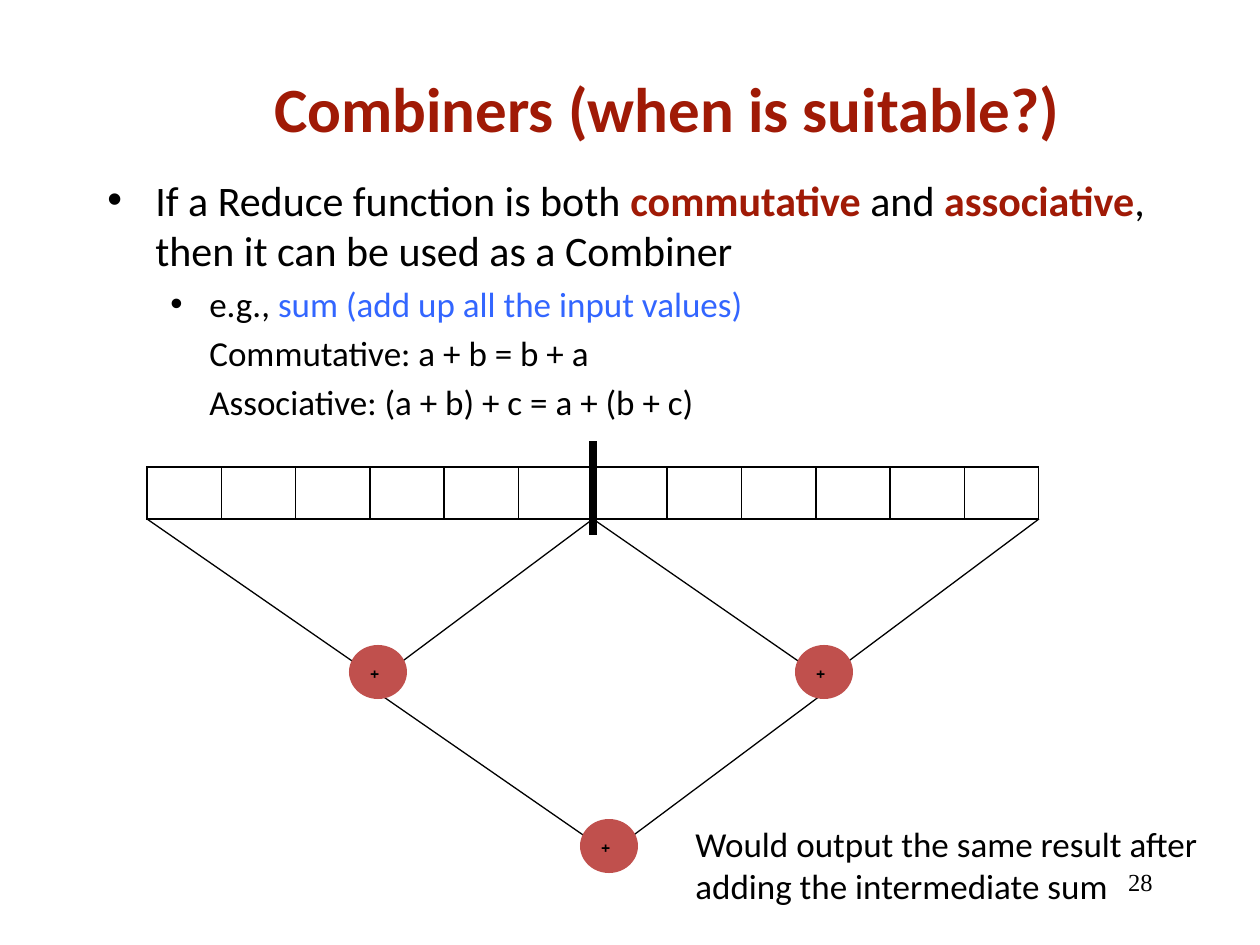
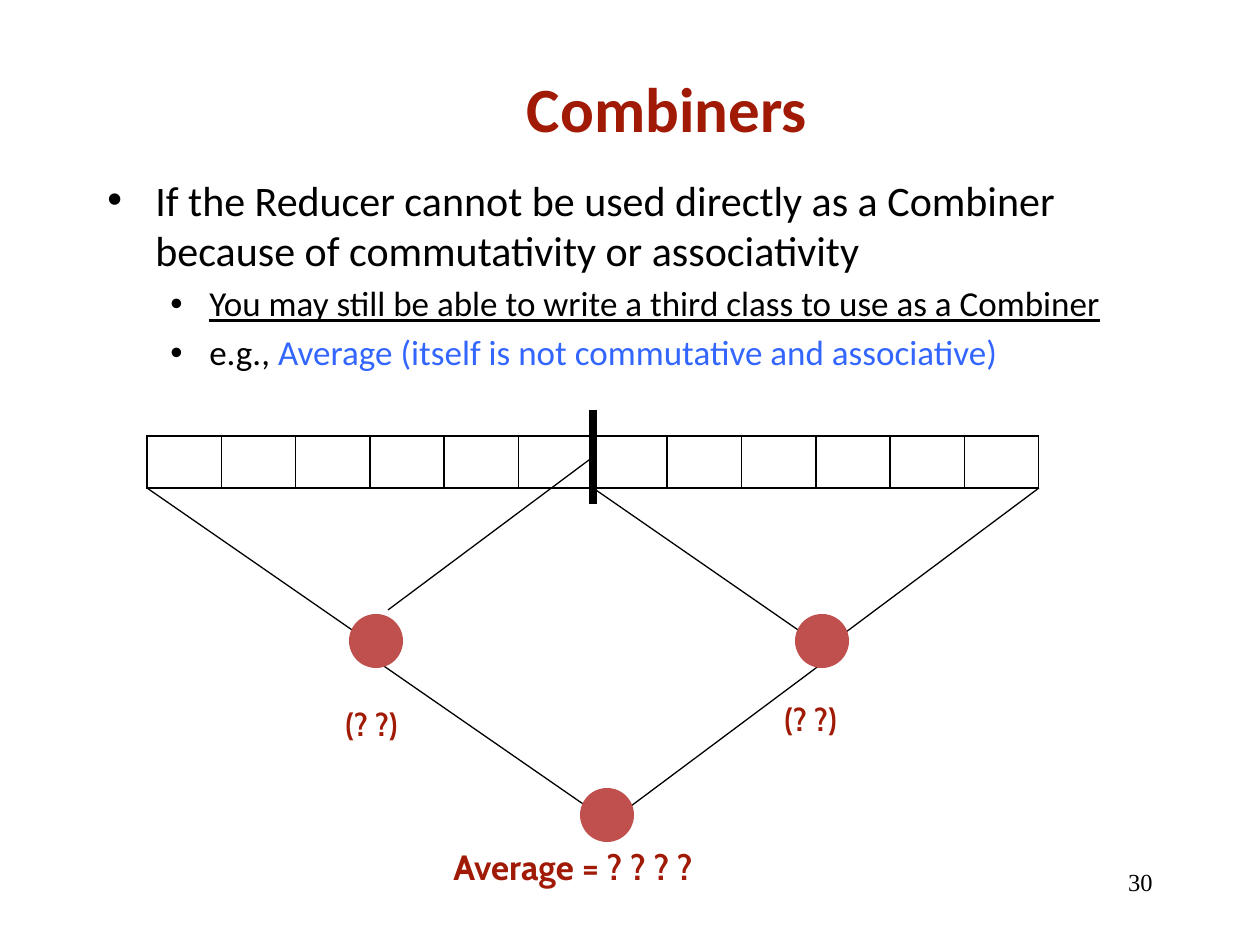
from lxml import etree
from pptx import Presentation
from pptx import util as u
from pptx.dml import color as dml
from pptx.enum import shapes, text
from pptx.oxml import ns

BLACK, RED, BLUE, NODE = "000000", "A01A06", "3366FF", "C0504D"
TITLE = {"name": "Calibri", "size": u.Pt(36), "bold": True, "color": RED}
BODY = {"name": "Calibri", "size": u.Pt(24), "color": BLACK}
DETAIL = {**BODY, "size": u.Pt(20)}
KEYWORD = {**BODY, "color": RED, "bold": True}
EXAMPLE = {**DETAIL, "color": BLUE}
UNDERLINED = {**DETAIL, "underline": True}
SIGN = {"name": "Cabin", "size": u.Pt(12), "color": BLACK}
GUESS = {"name": "Cabin", "size": u.Pt(18), "color": RED, "bold": True}
RESULT = {**GUESS, "size": u.Pt(20)}
NUMBER = {"name": "Times New Roman", "size": u.Pt(14), "color": BLACK}

TOP_LEVEL = {"margin": 48, "indent": -48, "before": 0}
SUB_LEVEL = {"margin": 102, "indent": -39, "before": 4}
PLAIN_LEVEL = {"margin": 102, "indent": 0, "before": 4}

ARRAY_LEFT, ARRAY_WIDTH, ARRAY_HEIGHT, CELL_COUNT = 147, 892, 52, 12
HALF = ARRAY_WIDTH // 2
BRANCH_HEIGHT = 153


def px(length):
    return u.Emu(round(length * u.Inches(1) / 126))


def rgb(value):
    return dml.RGBColor.from_string(value)


def add_span(para, words, style):
    span = para.add_run()
    span.text = words
    for name, value in style.items():
        if name == "color":
            span.font.color.rgb = rgb(value)
        else:
            setattr(span.font, name, value)


def prepare_frame(frame):
    settings = {"word_wrap": True, "vertical_anchor": text.MSO_ANCHOR.TOP}
    for name, value in settings.items():
        setattr(frame, name, value)
    return frame.paragraphs[0]


def add_label(page, bounds, words, style, align=text.PP_ALIGN.LEFT):
    box = page.shapes.add_textbox(*map(px, bounds))
    para = prepare_frame(box.text_frame)
    para.alignment = align
    add_span(para, words, style)


def set_title(page, words):
    box = page.shapes.title
    box.left, box.top, box.width, box.height = map(px, (116, 63, 1102, 158))
    para = prepare_frame(box.text_frame)
    para.alignment = text.PP_ALIGN.CENTER
    add_span(para, words, TITLE)


def set_level(para, level):
    para.space_before = u.Pt(level["before"])
    props = para._p.get_or_add_pPr()
    props.set("marL", str(px(level["margin"])))
    props.set("indent", str(px(level["indent"])))
    if level["indent"]:
        tint = etree.SubElement(props, ns.qn("a:buClr"))
        etree.SubElement(tint, ns.qn("a:srgbClr"), val=BLACK)
        etree.SubElement(props, ns.qn("a:buFont"), typeface="Arial")
        etree.SubElement(props, ns.qn("a:buChar"), char="•")


def add_bullets(page, height, items):
    box = page.shapes.add_textbox(*map(px, (95, 168, 1071, height)))
    para = prepare_frame(box.text_frame)
    for index, (level, spans) in enumerate(items):
        if index:
            para = box.text_frame.add_paragraph()
        set_level(para, level)
        for words, style in spans:
            add_span(para, words, style)


def add_line(page, start, end, weight=0.75):
    line = page.shapes.add_connector(
        shapes.MSO_CONNECTOR.STRAIGHT, *map(px, (*start, *end)))
    line.line.color.rgb = rgb(BLACK)
    line.line.width = u.Pt(weight)
    etree.SubElement(line._element.spPr, ns.qn("a:effectLst"))


def add_border(cell):
    props = cell._tc.get_or_add_tcPr()
    for index, side in enumerate(("lnL", "lnR", "lnT", "lnB")):
        edge = etree.Element(ns.qn(f"a:{side}"), w=str(u.Pt(1)))
        fill = etree.SubElement(edge, ns.qn("a:solidFill"))
        etree.SubElement(fill, ns.qn("a:srgbClr"), val=BLACK)
        props.insert(index, edge)


def add_array(page, top):
    bounds = map(px, (ARRAY_LEFT, top, ARRAY_WIDTH, ARRAY_HEIGHT))
    table = page.shapes.add_table(1, CELL_COUNT, *bounds).table
    table.first_row = table.horz_banding = False
    for cell in table.iter_cells():
        cell.margin_top = cell.margin_bottom = 0
        cell.fill.background()
        add_border(cell)
    middle = ARRAY_LEFT + HALF
    add_line(page, (middle, top - 26), (middle, top + 68), 4.5)


def add_branch(page, left, top, node_width, sign, lift=0):
    right = left + HALF
    add_line(page, (left, top), (left + 221, top + BRANCH_HEIGHT))
    add_line(page, (right, top - lift),
             (right - 205, top - lift + BRANCH_HEIGHT))
    node = page.shapes.add_shape(
        shapes.MSO_SHAPE.OVAL,
        *map(px, (left + 202, top + 126, node_width, 54)))
    node.shadow.inherit = False
    node.fill.solid()
    node.fill.fore_color.rgb = rgb(NODE)
    node.line.fill.background()
    if sign:
        para = prepare_frame(node.text_frame)
        para.alignment = text.PP_ALIGN.LEFT
        add_span(para, sign, SIGN)


def add_reduction(page, top, node_width, sign="", lift=0):
    add_array(page, top)
    base = top + ARRAY_HEIGHT
    add_branch(page, ARRAY_LEFT + 231, base + 174, node_width, sign)
    add_branch(page, ARRAY_LEFT, base, node_width, sign, lift)
    add_branch(page, ARRAY_LEFT + HALF, base, node_width, sign)


def add_page(deck, title, number):
    page = deck.slides.add_slide(deck.slide_layouts[5])
    set_title(page, title)
    add_label(page, (903, 861, 262, 63), number, NUMBER,
              text.PP_ALIGN.RIGHT)
    return page


def build_suitable(deck):
    page = add_page(deck, "Combiners (when is suitable?)", "28")
    add_bullets(page, 651, [
        (TOP_LEVEL, [("If a Reduce function is both ", BODY),
                     ("commutative", KEYWORD), (" and ", BODY),
                     ("associative", KEYWORD),
                     (", then it can be used as a Combiner", BODY)]),
        (SUB_LEVEL, [("e.g., ", DETAIL),
                     ("sum (add up all the input values)", EXAMPLE)]),
        (PLAIN_LEVEL, [("Commutative: a + b = b + a", DETAIL)]),
        (PLAIN_LEVEL, [("Associative: (a + b) + c = a + (b + c)", DETAIL)]),
    ])
    add_reduction(page, 467, 58, "+")
    add_label(page, (683, 816, 557, 97),
              "Would output the same result after adding the intermediate sum",
              DETAIL)


def build_average(deck):
    page = add_page(deck, "Combiners", "30")
    add_bullets(page, 746, [
        (TOP_LEVEL, [("If the Reducer cannot be used directly as a Combiner "
                      "because of commutativity or associativity", BODY)]),
        (SUB_LEVEL, [("You may still be able to write a third class to use "
                      "as a Combiner", UNDERLINED)]),
        (SUB_LEVEL, [("e.g., ", DETAIL),
                     ("Average (itself is not commutative and associative)",
                      EXAMPLE)]),
    ])
    add_reduction(page, 436, 54, lift=31)
    for left, top in ((333, 699), (772, 694)):
        add_label(page, (left, top, 100, 50), "(? ?)", GUESS)
    add_label(page, (441, 839, 333, 55), "Average = ? ? ? ?", RESULT)


def main():
    deck = Presentation()
    deck.slide_width, deck.slide_height = px(1260), px(945)
    build_suitable(deck)
    build_average(deck)
    deck.save("out.pptx")


if __name__ == "__main__":
    main()
